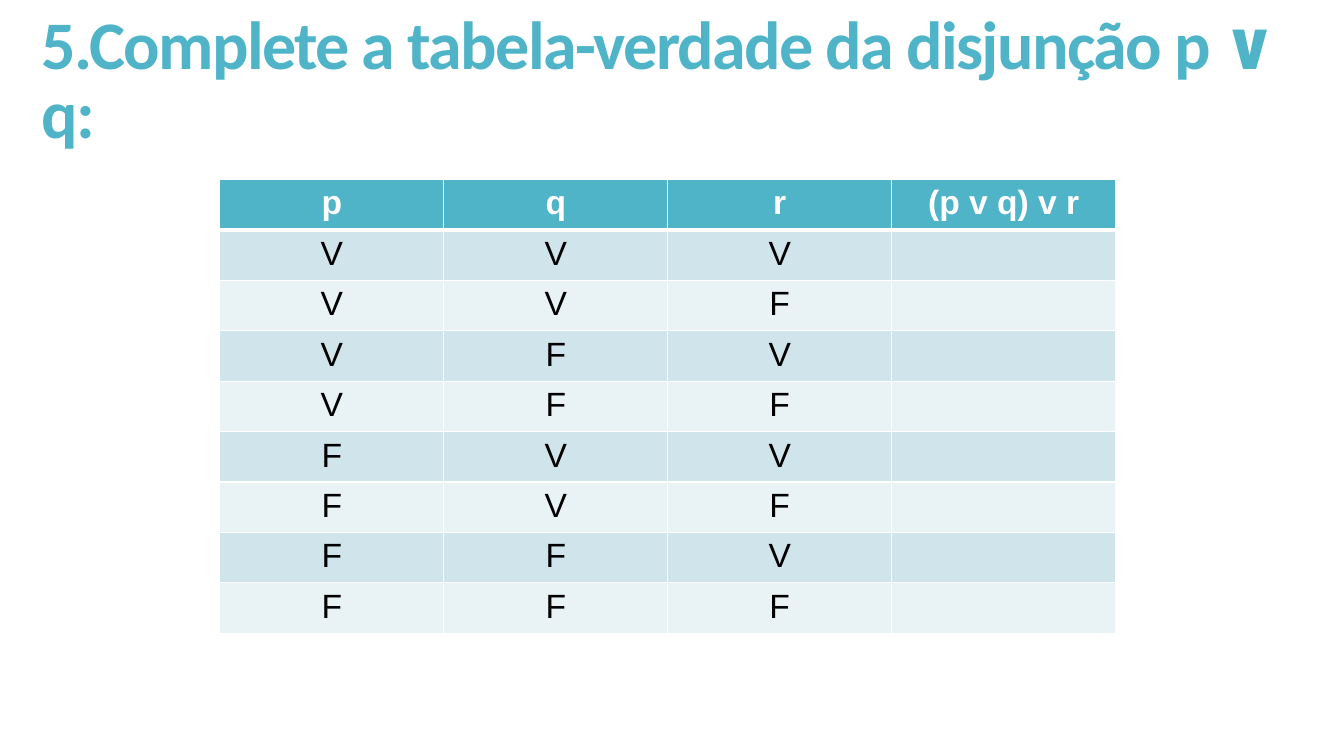
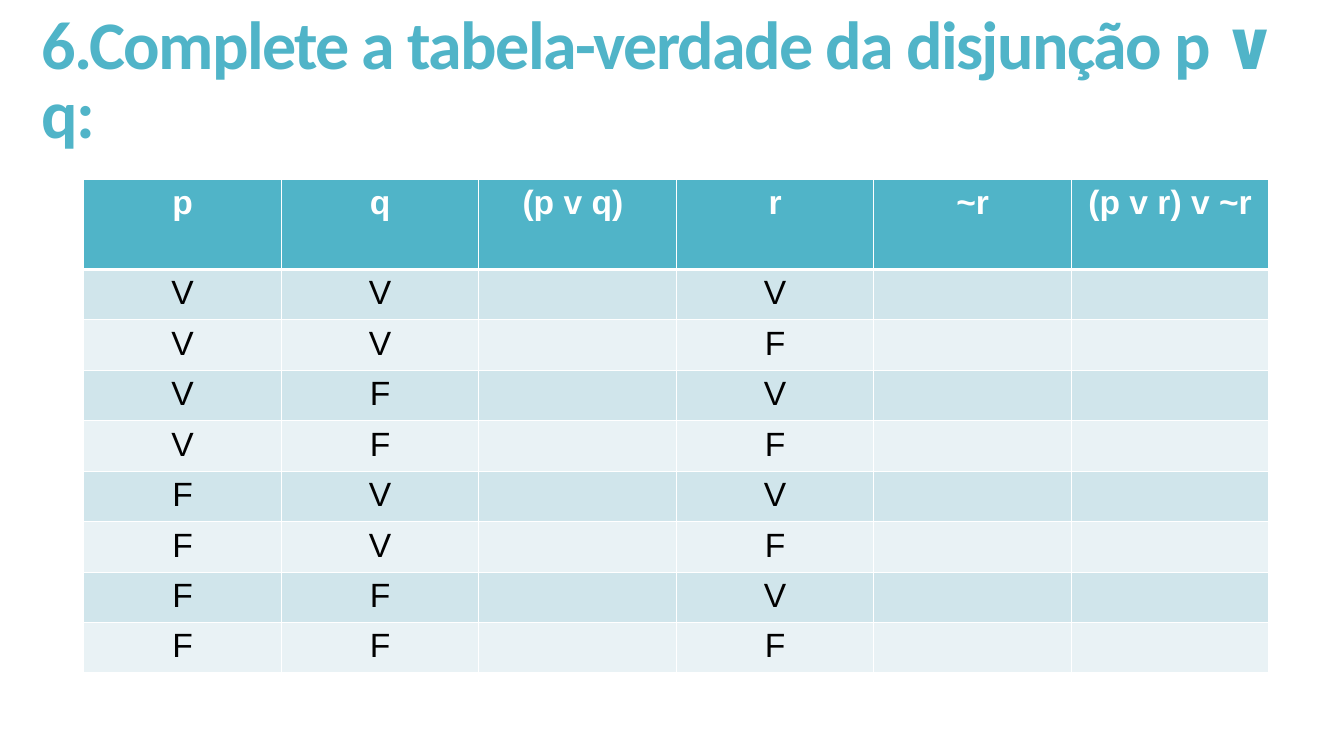
from itertools import product

from lxml.etree import SubElement
from pptx import Presentation
from pptx.dml.color import RGBColor
from pptx.enum.text import MSO_ANCHOR, PP_ALIGN
from pptx.oxml.ns import qn
from pptx.util import Cm, Pt

TEAL, WHITE, BLACK = "50B4C8", "FFFFFF", "000000"
BANDS = ["D0E5EB", "E9F2F5"]
VARIABLES = ["p", "q", "r"]
TRUTH_ROWS = list(product("VF", repeat=len(VARIABLES)))

EXERCISES = [
    {
        "title": "5.Complete a tabela-verdade da disjunção p ∨ q:",
        "headers": ["p", "q", "r", "(p v q) v r"],
        "left": 5.54, "width": 22.58, "header_height": 1.2, "row_height": 1.2,
    },
    {
        "title": "6.Complete a tabela-verdade da disjunção p ∨ q:",
        "headers": ["p", "q", "(p v q) ", "r", "~r", "(p v r) v ~r"],
        "left": 2.11, "width": 29.87, "header_height": 2.27, "row_height": 1.27,
    },
]
TABLE_TOP = 4.52


def rgb(color):
    return RGBColor.from_string(color)


def write(tf, text, size=24, font="Arial", color=BLACK, bold=False,
          align=PP_ALIGN.CENTER, line_spacing=None, tracking=None):
    p = tf.paragraphs[0]
    p.alignment = align
    p.line_spacing = line_spacing
    r = p.add_run()
    r.text = text
    r.font.size = Pt(size)
    r.font.name = font
    r.font.bold = bold
    r.font.color.rgb = rgb(color)
    if tracking is not None:
        r._r.get_or_add_rPr().set("spc", str(round(tracking * 100)))


def add_title(s, text):
    tf = s.shapes.add_textbox(Cm(0.79), Cm(0.25), Cm(32.03), Cm(3.7)).text_frame
    tf.word_wrap = True
    tf.vertical_anchor = MSO_ANCHOR.MIDDLE
    write(tf, text, size=48.6, font="Calibri", color=TEAL, bold=True,
          align=PP_ALIGN.LEFT, line_spacing=0.85, tracking=-1.2)


def set_borders(cell, top=1, bottom=1):
    tc_pr = cell._tc.get_or_add_tcPr()
    for side, width in (("L", 1), ("R", 1), ("T", top), ("B", bottom)):
        ln = SubElement(tc_pr, qn(f"a:ln{side}"), w=str(Pt(width)))
        SubElement(SubElement(ln, qn("a:solidFill")), qn("a:srgbClr"), val=WHITE)


def style_cell(cell, fill, **borders):
    set_borders(cell, **borders)
    cell.fill.solid()
    cell.fill.fore_color.rgb = rgb(fill)


def add_truth_table(s, headers, left, width, header_height, row_height):
    heights = [header_height] + [row_height] * len(TRUTH_ROWS)
    table = s.shapes.add_table(len(heights), len(headers), Cm(left), Cm(TABLE_TOP),
                               Cm(width), Cm(sum(heights))).table
    for row, height in zip(table.rows, heights):
        row.height = Cm(height)
    for col, header in enumerate(headers):
        cell = table.cell(0, col)
        style_cell(cell, TEAL, bottom=3)
        write(cell.text_frame, header, color=WHITE, bold=True)
        for i, values in enumerate(TRUTH_ROWS):
            cell = table.cell(i + 1, col)
            style_cell(cell, BANDS[i % 2], top=1 if i else 3)
            if header in VARIABLES:
                write(cell.text_frame, values[VARIABLES.index(header)])


def main():
    prs = Presentation()
    prs.slide_width, prs.slide_height = Cm(33.87), Cm(19.05)
    for exercise in EXERCISES:
        s = prs.slides.add_slide(prs.slide_layouts[6])
        layout = dict(exercise)
        add_title(s, layout.pop("title"))
        add_truth_table(s, **layout)
    prs.save("out.pptx")


if __name__ == "__main__":
    main()
